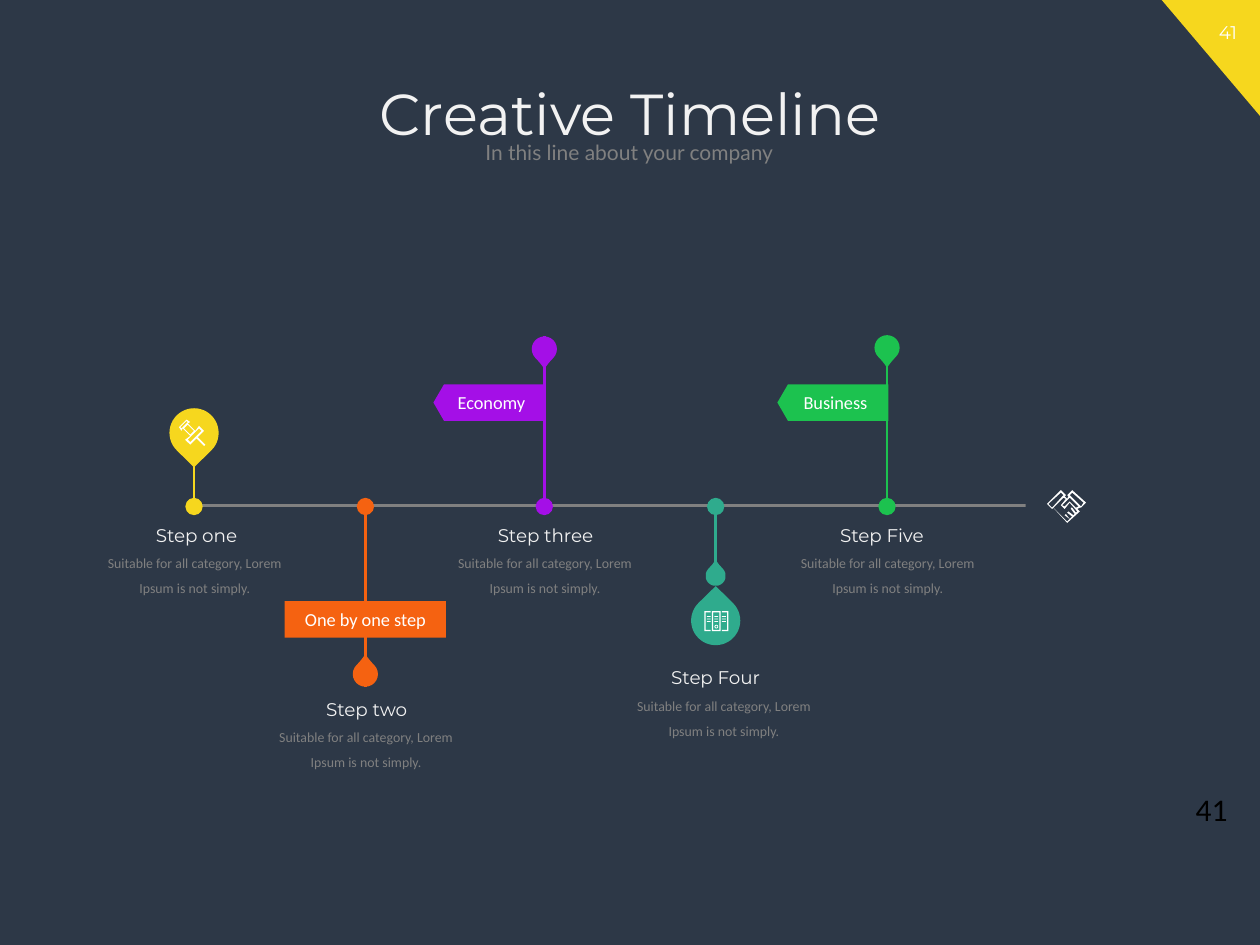
from math import cos, pi, sin
from pptx import Presentation
from pptx.dml.color import RGBColor
from pptx.enum.shapes import MSO_CONNECTOR, MSO_SHAPE
from pptx.enum.text import MSO_ANCHOR, PP_ALIGN
from pptx.oxml.ns import qn
from pptx.util import Inches, Pt
from lxml.etree import SubElement

THEME = {
    "bg": "2D3847", "white": "FFFFFF", "light": "F2F2F2", "grey": "808080", "black": "000000",
    "yellow": "F6D71E", "orange": "F56211", "purple": "A40FE7", "teal": "2FAB8D", "green": "1CC24F",
    "head": "Montserrat", "sub": "Lato", "body": "Calibri",
    "title": 33, "number": 18, "subtitle": 12, "label": 10.5, "small": 7.9, "line": 1.5,
}
TITLE = "Creative Timeline"
SUBTITLE = "In this line about your company"
PAGE = "41"
DETAIL = "Suitable for all category, Lorem Ipsum is not simply."
AXIS_Y = 4.01
UP, DOWN = 315, 135

STEPS = [
    {"name": "Step one", "color": "yellow", "x": 1.54, "end": 3.67, "drops": [(3.24, 0.39, DOWN)],
     "label": (1.56, 4.11), "detail_x": 1.54},
    {"name": "Step two", "color": "orange", "x": 2.9, "end": 5.45, "drops": [(5.25, 0.2, UP)],
     "label": (2.91, 5.49), "detail_x": 2.9,
     "tag": ("One by one step", MSO_SHAPE.RECTANGLE, 2.26, 4.77, 1.28)},
    {"name": "Step three", "color": "purple", "x": 4.32, "end": 2.67, "drops": [(2.67, 0.2, DOWN)],
     "label": (4.33, 4.11), "detail_x": 4.32,
     "tag": ("Economy", MSO_SHAPE.PENTAGON, 3.44, 3.05, 0.88)},
    {"name": "Step Four", "color": "teal", "x": 5.68, "end": 4.52,
     "drops": [(4.49, 0.16, UP), (4.73, 0.39, UP)],
     "label": (5.68, 5.24), "detail_x": 5.74},
    {"name": "Step Five", "color": "green", "x": 7.04, "end": 2.76, "drops": [(2.66, 0.2, DOWN)],
     "label": (7, 4.11), "detail_x": 7.04,
     "tag": ("Business", MSO_SHAPE.PENTAGON, 6.17, 3.05, 0.88)},
]

HAMMER = [
    [(21, 20), (15, 14), (20, 9), (16, 5), (13, 9), (7, 3), (9, 2), (6, 0), (0, 6), (2, 9),
     (3, 7), (9, 13), (5, 16), (9, 20), (14, 15), (20, 21)],
    [(2, 7), (1, 6), (6, 1), (7, 2)],
    [(4, 7), (7, 4), (12, 9), (9, 12)],
    [(7, 16), (16, 7), (18, 9), (9, 18)],
]
HANDSHAKE = [
    [(27, 14), (31, 10), (20, 0), (16, 4), (17, 5), (16, 7), (14, 5), (15, 4), (11, 0), (0, 11),
     (4, 15), (5, 14), (16, 26), (26, 17), (24, 15), (26, 14)],
    [(1, 11), (11, 2), (13, 4), (4, 14)],
    [(23, 18), (20, 14), (19, 14), (19, 15), (22, 19), (21, 20), (17, 17), (16, 18), (20, 21),
     (18, 23), (15, 19), (14, 20), (18, 23), (16, 25), (5, 14), (13, 6), (15, 7), (11, 12),
     (14, 15), (18, 10), (24, 17)],
    [(23, 14), (18, 9), (14, 13), (12, 12), (16, 8), (18, 6), (25, 13)],
    [(20, 2), (29, 10), (27, 13), (18, 4)],
]


def box(x, y, w, h):
    return [(x, y), (x + w, y), (x + w, y + h), (x, y + h)]


def ring(cx, cy, radius):
    return [(cx + radius * cos(i * pi / 8), cy + radius * sin(i * pi / 8)) for i in range(16)]


SIDE = [(0, 0), (5, 0), (5, 1), (1, 1), (1, 15), (5, 15), (5, 16), (0, 16)]
BINDERS = [box(6, 0, 7, 16), box(7, 1, 5, 14), SIDE, [(19 - x, y) for x, y in SIDE],
           ring(9.5, 12.4, 1.5), ring(9.5, 12.4, 0.8)]
BINDERS += [box(x, y, 3, 0.7) for x in (2, 8, 14) for y in (4, 6, 8)]
ICONS = [(BINDERS, 5.59, 4.85), (HANDSHAKE, 8.31, 3.89), (HAMMER, 1.42, 3.33)]


def rgb(name):
    return RGBColor.from_string(THEME[name])


def paint(sp, color):
    sp.shadow.inherit = False
    sp.fill.solid()
    sp.fill.fore_color.rgb = rgb(color)
    sp.line.fill.background()


def add_shape(s, kind, x, y, w, h, color):
    sp = s.shapes.add_shape(kind, Inches(x), Inches(y), Inches(w), Inches(h))
    paint(sp, color)
    return sp


def write(tf, text, size, font, color, align=PP_ALIGN.CENTER, spacing=None):
    p = tf.paragraphs[0]
    p.alignment = align
    if spacing:
        p.line_spacing = spacing
    r = p.add_run()
    r.text = text
    r.font.size = Pt(THEME[size])
    r.font.name = THEME[font]
    r.font.color.rgb = rgb(color)


def add_text(s, x, y, w, h, *run, **para):
    tf = s.shapes.add_textbox(Inches(x), Inches(y), Inches(w), Inches(h)).text_frame
    tf.word_wrap = True
    write(tf, *run, **para)
    return tf


def add_line(s, x1, y1, x2, y2, color, dot=False):
    ln = s.shapes.add_connector(MSO_CONNECTOR.STRAIGHT, *map(Inches, (x1, y1, x2, y2)))
    ln.line.color.rgb = rgb(color)
    ln.line.width = Pt(THEME["line"])
    if dot:
        SubElement(ln.line._get_or_add_ln(), qn("a:tailEnd"), type="oval", w="lg", len="lg")
    SubElement(ln._element.spPr, qn("a:effectLst"))


def add_step(s, step):
    color, x = step["color"], step["x"]
    add_line(s, x, step["end"], x, AXIS_Y + 0.01, color, dot=True)
    for top, size, turn in step["drops"]:
        drop = add_shape(s, MSO_SHAPE.TEAR, x - size / 2, top, size, size, color)
        drop.adjustments[0] = 1.12 if size < 0.3 else 0.99
        drop.rotation = turn
    if "tag" in step:
        text, kind, left, top, width = step["tag"]
        tag = add_shape(s, kind, left, top, width, 0.29, color)
        if kind == MSO_SHAPE.PENTAGON:
            tag.adjustments[0] = 0.29
            tag._element.spPr.find(qn("a:xfrm")).set("flipH", "1")
        tf = tag.text_frame
        tf.margin_left = tf.margin_right = tf.margin_top = tf.margin_bottom = 0
        tf.vertical_anchor = MSO_ANCHOR.MIDDLE
        write(tf, text, "label", "body", "white")
    label_x, y = step["label"]
    add_text(s, label_x - 0.55, y, 1.1, 0.28, step["name"], "label", "head", "light")
    add_text(s, step["detail_x"] - 0.82, y + 0.18, 1.65, 0.5, DETAIL, "small", "body", "grey",
             spacing=1.5)


def add_icon(s, outlines, x, y):
    fb = None
    for outline in outlines:
        pts = [(Inches(px / 100), Inches(py / 100)) for px, py in outline]
        if fb is None:
            fb = s.shapes.build_freeform(*pts[0])
        else:
            fb.move_to(*pts[0])
        fb.add_line_segments(pts[1:], close=True)
    paint(fb.convert_to_shape(Inches(x), Inches(y)), "white")


def main():
    prs = Presentation()
    prs.slide_width, prs.slide_height = Inches(10), Inches(7.5)
    s = prs.slides.add_slide(prs.slide_layouts[6])
    s.background.fill.solid()
    s.background.fill.fore_color.rgb = rgb("bg")

    corner = add_shape(s, MSO_SHAPE.RIGHT_TRIANGLE, 9.22, 0, 0.78, 0.92, "yellow")
    corner.rotation = 180
    add_text(s, 9.49, 0.12, 0.51, 0.28, PAGE, "label", "head", "white")
    add_line(s, 1.54, AXIS_Y, 8.31, AXIS_Y, "grey")
    add_text(s, 0.57, 0.63, 8.86, 0.73, TITLE, "title", "head", "light", spacing=0.9)
    tf = add_text(s, 1.39, 1.09, 7.21, 0.26, SUBTITLE, "subtitle", "sub", "grey", spacing=0.9)
    tf.vertical_anchor = MSO_ANCHOR.MIDDLE
    add_text(s, 9.39, 6.22, 0.61, 0.17, PAGE, "number", "body", "black", align=PP_ALIGN.LEFT)

    for step in STEPS:
        add_step(s, step)
    add_shape(s, MSO_SHAPE.OVAL, 8.14, 3.69, 0.64, 0.64, "bg")
    for icon in ICONS:
        add_icon(s, *icon)
    prs.save("out.pptx")


if __name__ == "__main__":
    main()
